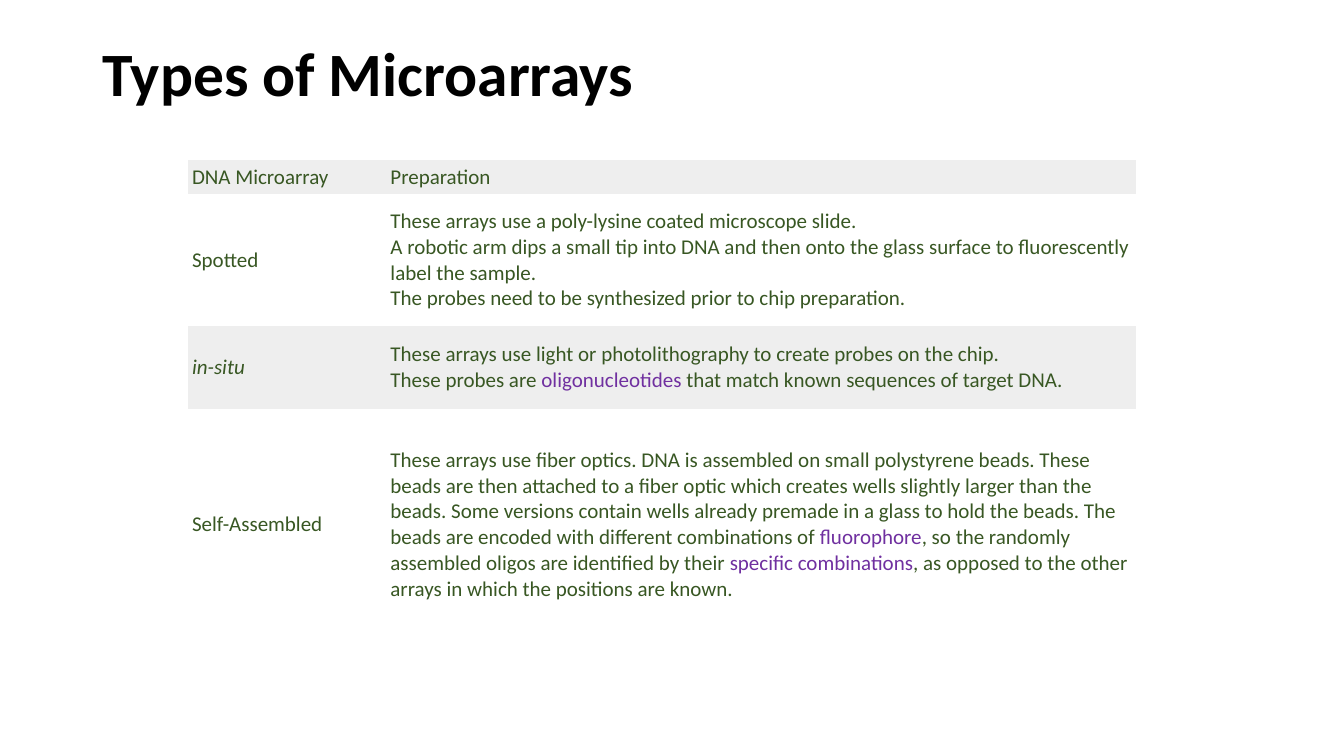
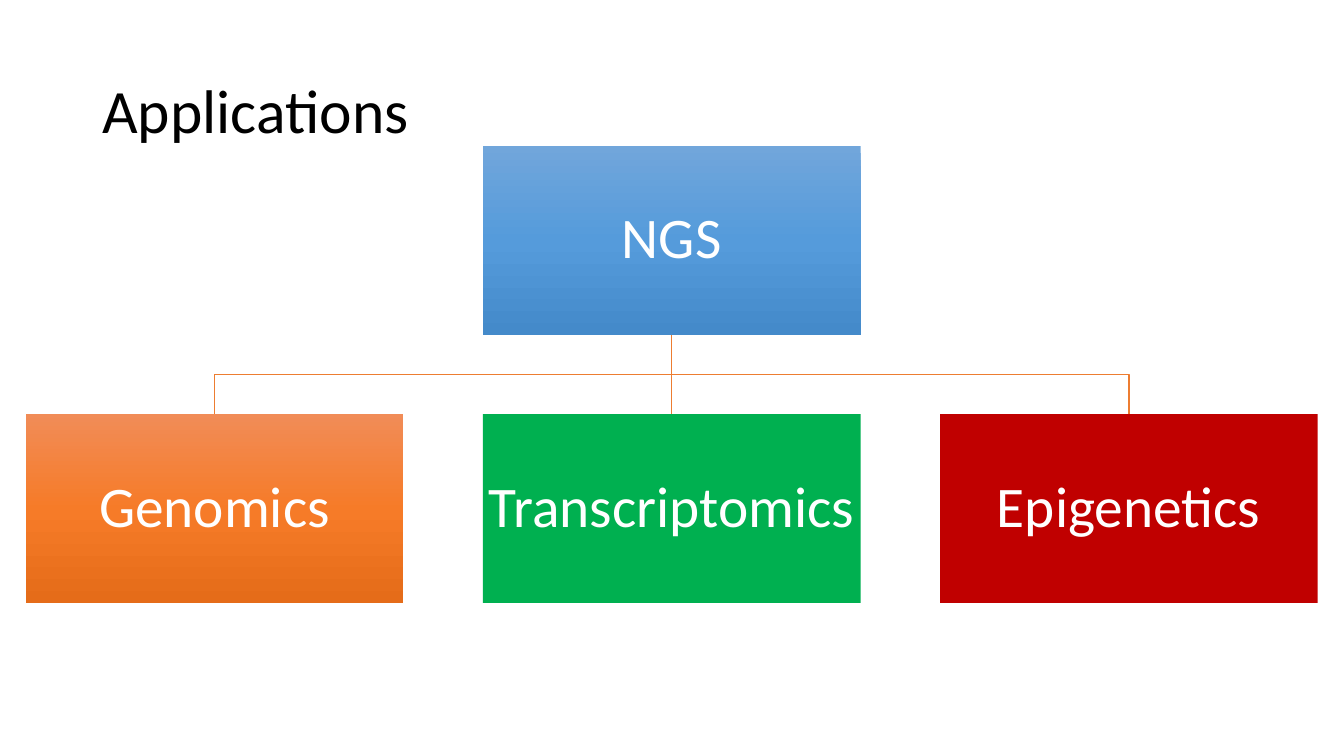
from copy import deepcopy
from dataclasses import dataclass

from lxml import etree
from pptx import Presentation
from pptx import util as u
from pptx.dml.color import RGBColor
from pptx.enum import shapes, text
from pptx.oxml.ns import qn


@dataclass(frozen=True)
class Theme:
    font: str = "Calibri"
    head: int = 44
    node: int = 41
    cell: int = 15
    black: str = "000000"
    white: str = "FFFFFF"
    green: str = "385723"
    key: str = "7030A0"
    band: str = "EEEEEE"
    link: str = "ED7D31"
    blue: tuple = ("71A6DB", "559BDB", "448ACA")
    orange: tuple = ("F18C57", "F67B28", "E56C19")
    leaf: tuple = ("00B050",)
    red: tuple = ("C00000",)
    plain: str = "{2D5ABB26-0587-4C30-8999-92F81FD0307C}"


T = Theme()

ROWS = [
    (0.86, "DNA Microarray", ["Preparation"]),
    (3.33, "Spotted", [
        "These arrays use a poly-lysine coated microscope slide.",
        "A robotic arm dips a small tip into DNA and then onto the glass "
        "surface to fluorescently label the sample.",
        "The probes need to be synthesized prior to chip preparation.",
    ]),
    (2.09, "in-situ", [
        "These arrays use light or photolithography to create probes on the chip.",
        "These probes are |oligonucleotides| that match known sequences of target DNA.",
    ]),
    (5.82, "Self-Assembled", [
        "These arrays use fiber optics. DNA is assembled on small polystyrene "
        "beads. These beads are then attached to a fiber optic which creates "
        "wells slightly larger than the beads. Some versions contain wells "
        "already premade in a glass to hold the beads. The beads are encoded "
        "with different combinations of |fluorophore|, so the randomly "
        "assembled oligos are identified by their |specific combinations|, as "
        "opposed to the other arrays in which the positions are known.",
    ]),
]

LEAVES = [
    ("Genomics", T.orange),
    ("Transcriptomics", T.leaf),
    ("Epigenetics", T.red),
]


def style(run, size, color, bold=False, italic=False):
    font = run.font
    font.name, font.size = T.font, u.Pt(size)
    font.bold, font.italic = bold, italic
    font.color.rgb = RGBColor.from_string(color)


def title(slide, words, box, bold=False):
    frame = slide.shapes.add_textbox(*map(u.Cm, box)).text_frame
    frame.word_wrap = True
    frame.margin_top = frame.margin_bottom = 0
    frame.vertical_anchor = text.MSO_ANCHOR.MIDDLE
    frame.text = words
    para = frame.paragraphs[0]
    para.line_spacing = 0.9
    style(para.runs[0], T.head, T.black, bold)


def fill_cell(cell, lines, back, italic=False):
    cell.fill.solid()
    cell.fill.fore_color.rgb = RGBColor.from_string(back)
    cell.vertical_anchor = text.MSO_ANCHOR.MIDDLE
    cell.margin_left = cell.margin_right = u.Cm(0.1)
    cell.margin_top = cell.margin_bottom = u.Cm(0.1)
    frame = cell.text_frame
    frame.text = "\n".join(line.replace("|", "") for line in lines)
    for para, line in zip(frame.paragraphs, lines):
        parts = line.split("|")
        para.runs[0].text = parts[0]
        for part in parts[1:]:
            para.add_run().text = part
        for i, run in enumerate(para.runs):
            style(run, T.cell, T.key if i % 2 else T.green, italic=italic)


def grid(slide, left, top, widths):
    high = sum(row[0] for row in ROWS)
    frame = slide.shapes.add_table(
        len(ROWS), len(widths), u.Cm(left), u.Cm(top), u.Cm(sum(widths)), u.Cm(high))
    frame.element.xpath(".//a:tableStyleId")[0].text = T.plain
    table = frame.table
    table.first_row = table.horz_banding = False
    for col, width in zip(table.columns, widths):
        col.width = u.Cm(width)
    for i, (height, name, lines) in enumerate(ROWS):
        table.rows[i].height = u.Cm(height)
        back = T.white if i % 2 else T.band
        fill_cell(table.cell(i, 0), [name], back, italic=name == "in-situ")
        fill_cell(table.cell(i, 1), lines, back)


def paint(shape, colors):
    fill = shape.fill
    if len(colors) == 1:
        fill.solid()
        fill.fore_color.rgb = RGBColor.from_string(colors[0])
        return
    fill.gradient()
    fill.gradient_angle = 270
    stops = shape.element.xpath(".//a:gsLst")[0]
    stops.append(deepcopy(stops[-1]))
    for i, (stop, color) in enumerate(zip(fill.gradient_stops, colors)):
        stop.position = i / (len(colors) - 1)
        stop.color.rgb = RGBColor.from_string(color)


def node(slide, words, colors, box):
    shape = slide.shapes.add_shape(shapes.MSO_SHAPE.RECTANGLE, *map(u.Cm, box))
    shape.shadow.inherit = False
    shape.line.fill.background()
    paint(shape, colors)
    frame = shape.text_frame
    frame.word_wrap = True
    frame.margin_left = frame.margin_right = u.Cm(0.07)
    frame.margin_top = frame.margin_bottom = u.Cm(0.07)
    frame.vertical_anchor = text.MSO_ANCHOR.MIDDLE
    frame.text = words
    para = frame.paragraphs[0]
    para.alignment = text.PP_ALIGN.CENTER
    para.line_spacing = 0.9
    style(para.runs[0], T.node, T.white)


def link(slide, start, end):
    (x, y), (to, low) = start, end
    if abs(to - x) < 0.01:
        shape = slide.shapes.add_connector(
            shapes.MSO_CONNECTOR.STRAIGHT, *map(u.Cm, (x, y, x, low)))
        etree.SubElement(shape.element.spPr, qn("a:effectLst"))
    else:
        bus = (y + low) / 2
        pen = slide.shapes.build_freeform(u.Cm(x), u.Cm(y))
        bends = [(x, bus), (to, bus), (to, low)]
        pen.add_line_segments(
            [(u.Cm(a), u.Cm(b)) for a, b in bends], close=False)
        shape = pen.convert_to_shape()
        shape.shadow.inherit = False
        shape.fill.background()
    shape.line.width = u.Pt(1)
    shape.line.color.rgb = RGBColor.from_string(T.link)


def tree(slide, left, top, wide, high, gap):
    count = len(LEAVES)
    width = (wide - gap * (count - 1)) / count
    height = (high - gap) / 2
    lefts = [left + i * (width + gap) for i in range(count)]
    mid = left + wide / 2
    base = top + height
    low = base + gap
    for x in reversed(lefts):
        link(slide, (mid, base), (x + width / 2, low))
    node(slide, "NGS", T.blue, (mid - width / 2, top, width, height))
    for x, (words, colors) in zip(lefts, LEAVES):
        node(slide, words, colors, (x, low, width, height))


def main():
    deck = Presentation()
    deck.slide_width, deck.slide_height = u.Cm(33.87), u.Cm(19.05)
    blank = deck.slide_layouts[6]

    types = deck.slides.add_slide(blank)
    title(types, "Types of Microarrays", (2.33, 1.02, 29.2, 1.83), bold=True)
    grid(types, 4.74, 4.03, (5, 18.89))

    uses = deck.slides.add_slide(blank)
    title(uses, "Applications", (2.33, 1.02, 29.2, 3.68))
    tree(uses, 0.65, 3.68, 32.56, 11.51, 2)

    deck.save("out.pptx")


if __name__ == "__main__":
    main()
